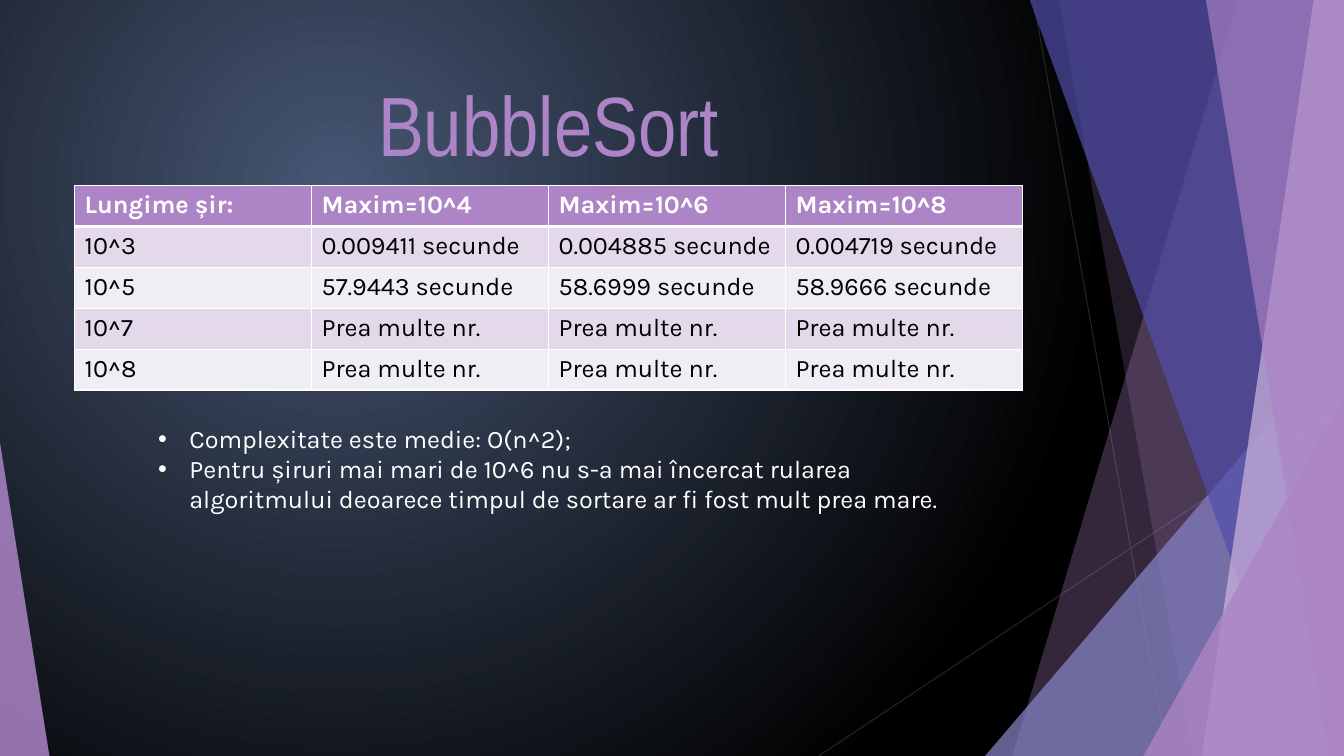
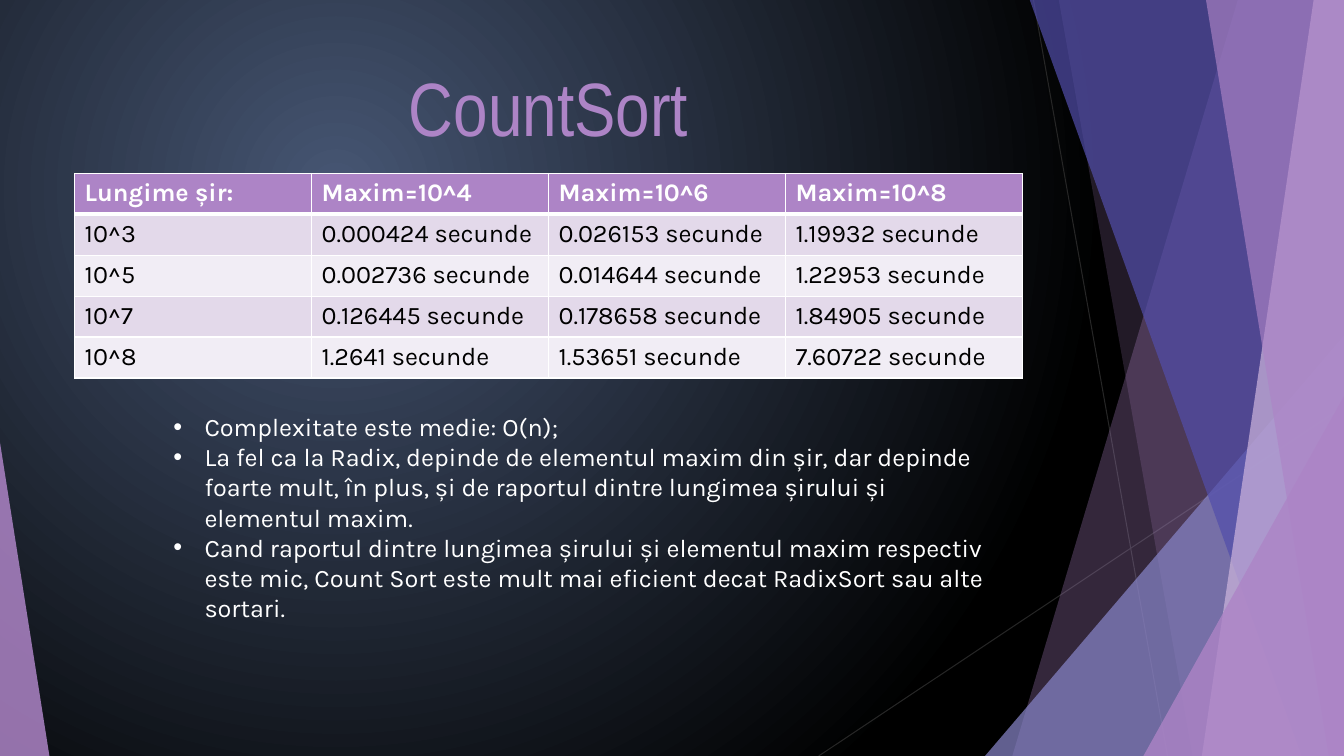
from dataclasses import dataclass

import lxml.etree
import pptx
import pptx.dml.color
import pptx.enum.shapes
import pptx.enum.text
import pptx.oxml.ns
import pptx.util

Inches = pptx.util.Inches
Pt = pptx.util.Pt
qn = pptx.oxml.ns.qn

WIDTH, HEIGHT = 13.33, 7.5
TOP = -0.01
LEFT, CONTENT_WIDTH = 0.74, 9.4
LILAC, PALE_LILAC, PERIWINKLE, INDIGO = "AD84C6", "CEB5DD", "8784C7", "524EAB"
BAND_ODD, BAND_EVEN = "E3D9EA", "F1EDF5"
WHITE, BLACK, SLATE, HAIRLINE = "FFFFFF", "000000", "465673", "262626"
TITLE_FONT, BODY_FONT = "Arial Narrow", "Karla"
BODY_SIZE = 18
HEADER = ("Lungime șir:", "Maxim=10^4", "Maxim=10^6", "Maxim=10^8")


@dataclass(frozen=True)
class Ray:
    start: tuple[float, float]
    end: tuple[float, float]


@dataclass(frozen=True)
class Blade:
    top_left: float
    bottom_left: float
    fill: str
    opacity: int


@dataclass(frozen=True)
class Corner:
    left: float
    top: float
    width: float
    apex: float
    fill: str
    opacity: int


@dataclass(frozen=True)
class SortSlide:
    title: str
    title_top: float
    title_size: int
    table_top: float
    rows: tuple[tuple[str, ...], ...]
    bullet_area: tuple[float, float, float, float]
    bullets: tuple[str, ...]


RAYS = (
    Ray((10.25, 0), (11.58, HEIGHT)),
    Ray((WIDTH, 4.03), (8.12, HEIGHT)),
)
FACETS = (
    Blade(12.28, 10.04, LILAC, 30),
    Blade(10.5, 11.83, LILAC, 20),
    Corner(9.77, 3.33, 3.56, 1, PERIWINKLE, 72),
    Blade(10.21, 12.91, INDIGO, 70),
    Blade(13.03, 11.92, PALE_LILAC, 70),
    Blade(11.96, 13.18, LILAC, 65),
    Corner(11.34, 3.93, 1.99, 1, LILAC, 80),
    Corner(0, 4.39, 0.49, 0, LILAC, 85),
)
TOO_MANY = ("Prea multe nr.",) * 3
SLIDES = (
    SortSlide(
        "BubbleSort", 0.67, 60, 1.84,
        (
            ("10^3", "0.009411 secunde", "0.004885 secunde", "0.004719 secunde"),
            ("10^5", "57.9443 secunde", "58.6999 secunde", "58.9666 secunde"),
            ("10^7", *TOO_MANY),
            ("10^8", *TOO_MANY),
        ),
        (1.47, 4.15, 8.48, 1.31),
        (
            "Complexitate este medie: O(n^2);",
            "Pentru șiruri mai mari de 10^6 nu s-a mai încercat rularea algoritmului "
            "deoarece timpul de sortare ar fi fost mult prea mare.",
        ),
    ),
    SortSlide(
        "CountSort", 0.56, 54, 1.72,
        (
            ("10^3", "0.000424 secunde", "0.026153 secunde", "1.19932 secunde"),
            ("10^5", "0.002736 secunde", "0.014644 secunde", "1.22953 secunde"),
            ("10^7", "0.126445 secunde", "0.178658 secunde", "1.84905 secunde"),
            ("10^8", "1.2641 secunde", "1.53651 secunde", "7.60722 secunde"),
        ),
        (1.62, 4.03, 8.29, 2.22),
        (
            "Complexitate este medie: O(n);",
            "La fel ca la Radix, depinde de elementul maxim din șir, dar depinde foarte "
            "mult, în plus, și de raportul dintre lungimea șirului și elementul maxim.",
            "Cand raportul dintre lungimea șirului și elementul maxim respectiv este mic, "
            "Count Sort este mult mai eficient decat RadixSort sau alte sortari.",
        ),
    ),
)


def rgb(value: str) -> pptx.dml.color.RGBColor:
    return pptx.dml.color.RGBColor.from_string(value)


def child(parent, tag: str, **attributes: str):
    return lxml.etree.SubElement(parent, qn(tag), attributes)


def set_font(p, name: str, size: int, color: str, bold: bool = False) -> None:
    p.font.name = name
    p.font.size = Pt(size)
    p.font.bold = bold
    p.font.color.rgb = rgb(color)


def paint_background(slide) -> None:
    fill = slide.background.fill
    fill.gradient()
    for stop, position, color in zip(fill.gradient_stops, (0, 1), (SLATE, BLACK)):
        stop.position = position
        stop.color.rgb = rgb(color)
    grad = slide.element.find(".//" + qn("a:gradFill"))
    grad.remove(grad.find(qn("a:lin")))
    shade = child(grad, "a:path", path="circle")
    child(shade, "a:fillToRect", l="50000", t="50000", r="100000", b="100000")


def draw_ray(shapes, ray: Ray) -> None:
    ends = [Inches(v) for v in ray.start + ray.end]
    line = shapes.add_connector(pptx.enum.shapes.MSO_CONNECTOR.STRAIGHT, *ends)
    line.line.color.rgb = rgb(HAIRLINE)
    line.line.width = Pt(0.75)
    child(line.element.spPr, "a:effectLst")


def add_blade(shapes, blade: Blade):
    corners = [
        (Inches(x), Inches(y))
        for x, y in (
            (blade.top_left, TOP), (WIDTH, TOP), (WIDTH, HEIGHT), (blade.bottom_left, HEIGHT),
        )
    ]
    builder = shapes.build_freeform(*corners[0])
    builder.add_line_segments(corners[1:], close=True)
    return builder.convert_to_shape()


def add_corner(shapes, corner: Corner):
    sp = shapes.add_shape(
        pptx.enum.shapes.MSO_SHAPE.ISOSCELES_TRIANGLE,
        Inches(corner.left), Inches(corner.top),
        Inches(corner.width), Inches(HEIGHT - corner.top),
    )
    sp.adjustments[0] = corner.apex
    return sp


def draw_facet(shapes, facet: Blade | Corner) -> None:
    add = add_blade if isinstance(facet, Blade) else add_corner
    sp = add(shapes, facet)
    sp.shadow.inherit = False
    sp.line.fill.background()
    sp.fill.solid()
    sp.fill.fore_color.rgb = rgb(facet.fill)
    color = sp.element.spPr.find(qn("a:solidFill")).find(qn("a:srgbClr"))
    child(color, "a:alpha", val=str(facet.opacity * 1000))


def draw_backdrop(slide) -> None:
    paint_background(slide)
    shapes = slide.shapes.add_group_shape().shapes
    for ray in RAYS:
        draw_ray(shapes, ray)
    for facet in FACETS:
        draw_facet(shapes, facet)


def add_text_frame(slide, left: float, top: float, width: float, height: float):
    box = slide.shapes.add_textbox(Inches(left), Inches(top), Inches(width), Inches(height))
    box.text_frame.word_wrap = True
    return box.text_frame


def draw_title(slide, text: str, top: float, size: int) -> None:
    tf = add_text_frame(slide, LEFT, top, CONTENT_WIDTH, 1.44)
    p = tf.paragraphs[0]
    p.text = text
    p.alignment = pptx.enum.text.PP_ALIGN.CENTER
    set_font(p, TITLE_FONT, size, LILAC)


def set_borders(cell, top: float, bottom: float) -> None:
    tc_pr = cell._tc.get_or_add_tcPr()
    for tag, width in (("a:lnL", 1), ("a:lnR", 1), ("a:lnT", top), ("a:lnB", bottom)):
        line = child(tc_pr, tag, w=str(Pt(width)))
        child(child(line, "a:solidFill"), "a:srgbClr", val=WHITE)


def draw_timings(slide, top: float, rows: tuple[tuple[str, ...], ...]) -> None:
    grid = (HEADER, *rows)
    table = slide.shapes.add_table(
        len(grid), len(HEADER), Inches(LEFT), Inches(top), Inches(CONTENT_WIDTH), Inches(2.03)
    ).table
    for i, row in enumerate(grid):
        is_header = i == 0
        fill = LILAC if is_header else BAND_ODD if i % 2 else BAND_EVEN
        for j, text in enumerate(row):
            cell = table.cell(i, j)
            set_borders(cell, 3 if i == 1 else 1, 3 if is_header else 1)
            cell.fill.solid()
            cell.fill.fore_color.rgb = rgb(fill)
            p = cell.text_frame.paragraphs[0]
            p.text = text
            set_font(p, BODY_FONT, BODY_SIZE, WHITE if is_header else BLACK, is_header)


def draw_bullets(slide, area: tuple[float, float, float, float], bullets: tuple[str, ...]) -> None:
    tf = add_text_frame(slide, *area)
    tf.auto_size = pptx.enum.text.MSO_AUTO_SIZE.SHAPE_TO_FIT_TEXT
    indent = Inches(0.31)
    for i, text in enumerate(bullets):
        p = tf.add_paragraph() if i else tf.paragraphs[0]
        p.text = text
        set_font(p, BODY_FONT, BODY_SIZE, WHITE)
        p_pr = p._p.get_or_add_pPr()
        p_pr.set("marL", str(indent))
        p_pr.set("indent", str(-indent))
        p_pr.insert(0, lxml.etree.Element(qn("a:buFont"), typeface="Arial"))
        p_pr.insert(1, lxml.etree.Element(qn("a:buChar"), char="•"))


def main() -> None:
    prs = pptx.Presentation()
    prs.slide_width = Inches(WIDTH)
    prs.slide_height = Inches(HEIGHT)
    blank = prs.slide_layouts[6]
    for content in SLIDES:
        s = prs.slides.add_slide(blank)
        draw_backdrop(s)
        draw_title(s, content.title, content.title_top, content.title_size)
        draw_timings(s, content.table_top, content.rows)
        draw_bullets(s, content.bullet_area, content.bullets)
    prs.save("out.pptx")


if __name__ == "__main__":
    main()
